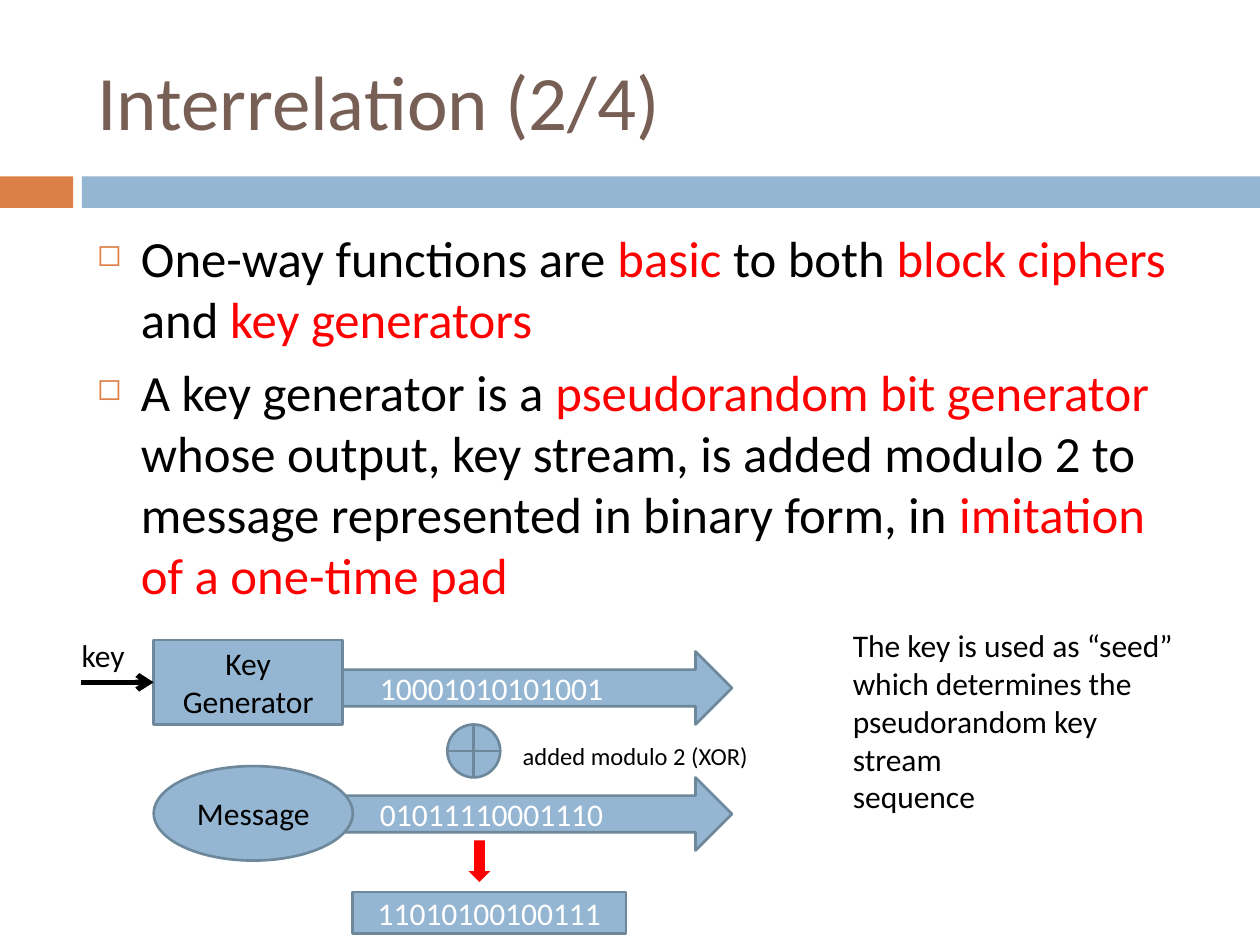
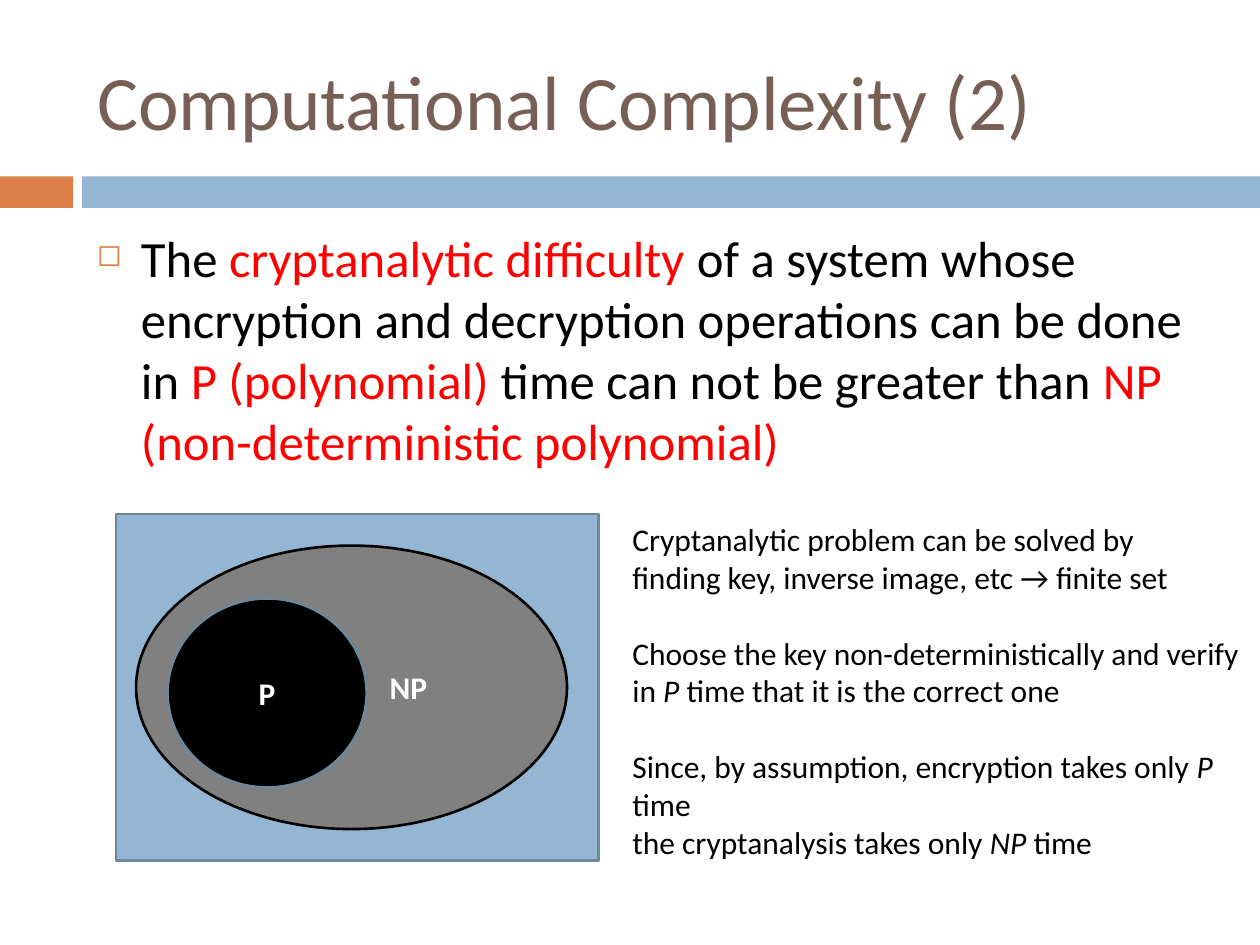
from dataclasses import dataclass

from lxml import etree
from pptx import Presentation
from pptx.dml.color import RGBColor
from pptx.enum.shapes import MSO_CONNECTOR, MSO_SHAPE
from pptx.enum.text import MSO_ANCHOR, MSO_AUTO_SIZE, PP_ALIGN
from pptx.oxml.ns import qn
from pptx.shapes.autoshape import Shape
from pptx.slide import Slide
from pptx.util import Inches, Pt

FONT = "Calibri"
BLACK = RGBColor(0x00, 0x00, 0x00)
WHITE = RGBColor(0xFF, 0xFF, 0xFF)
GRAY = RGBColor(0x80, 0x80, 0x80)
RED = RGBColor(0xFF, 0x00, 0x00)
BROWN = RGBColor(0x77, 0x5F, 0x55)
ORANGE = RGBColor(0xDD, 0x80, 0x47)
BLUE = RGBColor(0x94, 0xB6, 0xD2)
OUTLINE = RGBColor(0x6D, 0x87, 0x9B)

RECTANGLE = MSO_SHAPE.RECTANGLE
OVAL = MSO_SHAPE.OVAL
RIGHT_ARROW = MSO_SHAPE.RIGHT_ARROW
DOWN_ARROW = MSO_SHAPE.DOWN_ARROW
XOR_SIGN = MSO_SHAPE.FLOWCHART_OR
STRAIGHT = MSO_CONNECTOR.STRAIGHT
LEFT, CENTER = PP_ALIGN.LEFT, PP_ALIGN.CENTER
TOP, MIDDLE = MSO_ANCHOR.TOP, MSO_ANCHOR.MIDDLE
NO_AUTOFIT = MSO_AUTO_SIZE.NONE

TITLE_ONLY = 5
LEFT_SIDE = 1
CONTENT_LEFT, CONTENT_WIDTH = 0.67, 8.92
LINE_HEIGHT = 21.6


@dataclass(frozen=True)
class Span:
    text: str
    color: RGBColor = BLACK
    bold: bool = False
    italic: bool = False


@dataclass(frozen=True)
class Line:
    spans: tuple[Span, ...]
    before: float = 0


@dataclass(frozen=True)
class Figure:
    preset: int
    left: float
    top: float
    width: float
    height: float
    label: Span | None = None
    fill: RGBColor = BLUE
    outline: RGBColor | None = OUTLINE
    label_inset: float = 0.1


def plain(text: str, before: float = 0) -> Line:
    return Line((Span(text),), before)


def red(text: str) -> Span:
    return Span(text, RED)


def italic(text: str) -> Span:
    return Span(text, italic=True)


def write_lines(box: Shape, lines: list[Line], size: float,
                align: PP_ALIGN = LEFT, anchor: MSO_ANCHOR = TOP) -> None:
    frame = box.text_frame
    frame.word_wrap = True
    frame.auto_size = NO_AUTOFIT
    frame.vertical_anchor = anchor
    for index, line in enumerate(lines):
        para = frame.paragraphs[0] if index == 0 else frame.add_paragraph()
        para.alignment = align
        para.space_before = Pt(line.before)
        for span in line.spans:
            run = para.add_run()
            run.text = span.text
            run.font.name = FONT
            run.font.size = Pt(size)
            run.font.color.rgb = span.color
            run.font.bold = span.bold
            run.font.italic = span.italic


def add_text(slide: Slide, left: float, top: float, width: float, height: float,
             lines: list[Line], size: float = 18) -> Shape:
    box = slide.shapes.add_textbox(Inches(left), Inches(top), Inches(width), Inches(height))
    write_lines(box, lines, size)
    return box


def add_figure(slide: Slide, figure: Figure) -> Shape:
    shape = slide.shapes.add_shape(figure.preset, Inches(figure.left), Inches(figure.top),
                                   Inches(figure.width), Inches(figure.height))
    shape.shadow.inherit = False
    shape.fill.solid()
    shape.fill.fore_color.rgb = figure.fill
    if figure.outline is None:
        shape.line.fill.background()
    else:
        shape.line.color.rgb = figure.outline
        shape.line.width = Pt(1.5)
    if figure.label:
        shape.text_frame.margin_left = Inches(figure.label_inset)
        write_lines(shape, [Line((figure.label,))], 18, CENTER, MIDDLE)
    return shape


def add_arrow_into(slide: Slide, target: Shape, start: float) -> None:
    """Draw a level arrow from start to the middle of the target's left side."""
    level = target.top + target.height // 2
    arrow = slide.shapes.add_connector(STRAIGHT, Inches(start), level, target.left, level)
    arrow.end_connect(target, LEFT_SIDE)
    arrow.line.color.rgb = BLACK
    arrow.line.width = Pt(3)
    etree.SubElement(arrow.line._get_or_add_ln(), qn("a:tailEnd"), type="arrow")
    etree.SubElement(arrow._element.spPr, qn("a:effectLst"))


def add_bullets(slide: Slide, bullets: list[Line]) -> None:
    box = add_text(slide, CONTENT_LEFT, 1.75, CONTENT_WIDTH, 4.92, bullets, 29)
    for para in box.text_frame.paragraphs:
        properties = para._p.get_or_add_pPr()
        properties.set("marL", str(Inches(0.35)))
        properties.set("indent", str(-Inches(0.35)))
        color = etree.SubElement(properties, qn("a:buClr"))
        etree.SubElement(color, qn("a:srgbClr"), val=str(ORANGE))
        etree.SubElement(properties, qn("a:buSzPct"), val="60000")
        etree.SubElement(properties, qn("a:buChar"), char="◻")


def add_titled_slide(deck: Presentation, title: str) -> Slide:
    slide = deck.slides.add_slide(deck.slide_layouts[TITLE_ONLY])
    for left, width, color in ((0, 0.58, ORANGE), (0.65, 9.35, BLUE)):
        add_figure(slide, Figure(RECTANGLE, left, 1.4, width, 0.25, fill=color, outline=None))
    heading = slide.shapes.title
    heading.left, heading.top = Inches(CONTENT_LEFT), Inches(0.25)
    heading.width, heading.height = Inches(CONTENT_WIDTH), Inches(1.08)
    write_lines(heading, [Line((Span(title, BROWN),))], 44, LEFT, MIDDLE)
    return slide


def build_interrelation(deck: Presentation) -> None:
    slide = add_titled_slide(deck, "Interrelation (2/4)")
    add_bullets(slide, [
        Line((Span("One-way functions are "), red("basic"), Span(" to both "),
              red("block ciphers "), Span("and "), red("key generators"))),
        Line((Span("A key generator is a "), red("pseudorandom bit generator "),
              Span("whose output, key stream, is added modulo 2 to message "
                   "represented in binary form, in "),
              red("imitation of a one-time pad")), before=7),
    ])
    add_text(slide, 6.67, 4.92, 2.83, 1.31, [
        plain("The key is used as “seed”"),
        plain("which determines the"),
        plain("pseudorandom key stream"),
        plain("sequence"),
    ])
    for top, bits in ((5.17, "10001010101001"), (6.17, "01011110001110")):
        add_figure(slide, Figure(RIGHT_ARROW, 2.14, top, 3.67, 0.58, Span(bits, WHITE)))
    add_figure(slide, Figure(OVAL, 1.22, 6.08, 1.58, 0.75, Span("Message")))
    add_text(slide, 4.05, 5.83, 2.03, 0.34, [plain("added modulo 2 (XOR)")], 14)
    generator = add_figure(
        slide, Figure(RECTANGLE, 1.22, 5.08, 1.5, 0.67, Span("Key Generator")))
    add_arrow_into(slide, generator, 0.64)
    add_text(slide, 0.55, 5, 0.6, 0.4, [plain("key")])
    add_figure(slide, Figure(XOR_SIGN, 3.55, 5.75, 0.42, 0.42))
    add_figure(slide, Figure(RECTANGLE, 2.8, 7.08, 2.17, 0.33, Span("11010100100111", WHITE)))
    add_figure(slide, Figure(DOWN_ARROW, 3.72, 6.67, 0.17, 0.33, fill=RED, outline=None))


def build_complexity(deck: Presentation) -> None:
    slide = add_titled_slide(deck, "Computational Complexity (2)")
    add_bullets(slide, [
        Line((Span("The "), red("cryptanalytic difficulty "),
              Span("of a system whose encryption and decryption operations can be done in "),
              red("P (polynomial)"), Span(" time can not be greater than "),
              red("NP (non-deterministic polynomial)"))),
    ])
    add_figure(slide, Figure(RECTANGLE, 0.92, 4.08, 3.83, 2.75))
    add_figure(slide, Figure(OVAL, 1.08, 4.33, 3.42, 2.25, Span("NP", WHITE, bold=True),
                             fill=GRAY, outline=BLACK, label_inset=1))
    add_figure(slide, Figure(OVAL, 1.33, 4.75, 1.58, 1.5, Span("P", WHITE, bold=True),
                             fill=BLACK))
    add_text(slide, 4.92, 4.08, 5.08, 2.52, [
        plain("Cryptanalytic problem can be solved by"),
        plain("finding key, inverse image, etc → finite set"),
        plain("Choose the key non-deterministically and verify", LINE_HEIGHT),
        Line((Span("in "), italic("P "), Span("time that it is the correct one"))),
        Line((Span("Since, by assumption, encryption takes only "), italic("P"),
              Span(" time")), LINE_HEIGHT),
        Line((Span("the cryptanalysis takes only "), italic("NP"), Span(" time"))),
    ])


def main() -> None:
    deck = Presentation()
    deck.slide_width, deck.slide_height = Inches(10), Inches(7.5)
    build_interrelation(deck)
    build_complexity(deck)
    deck.save("out.pptx")


if __name__ == "__main__":
    main()
